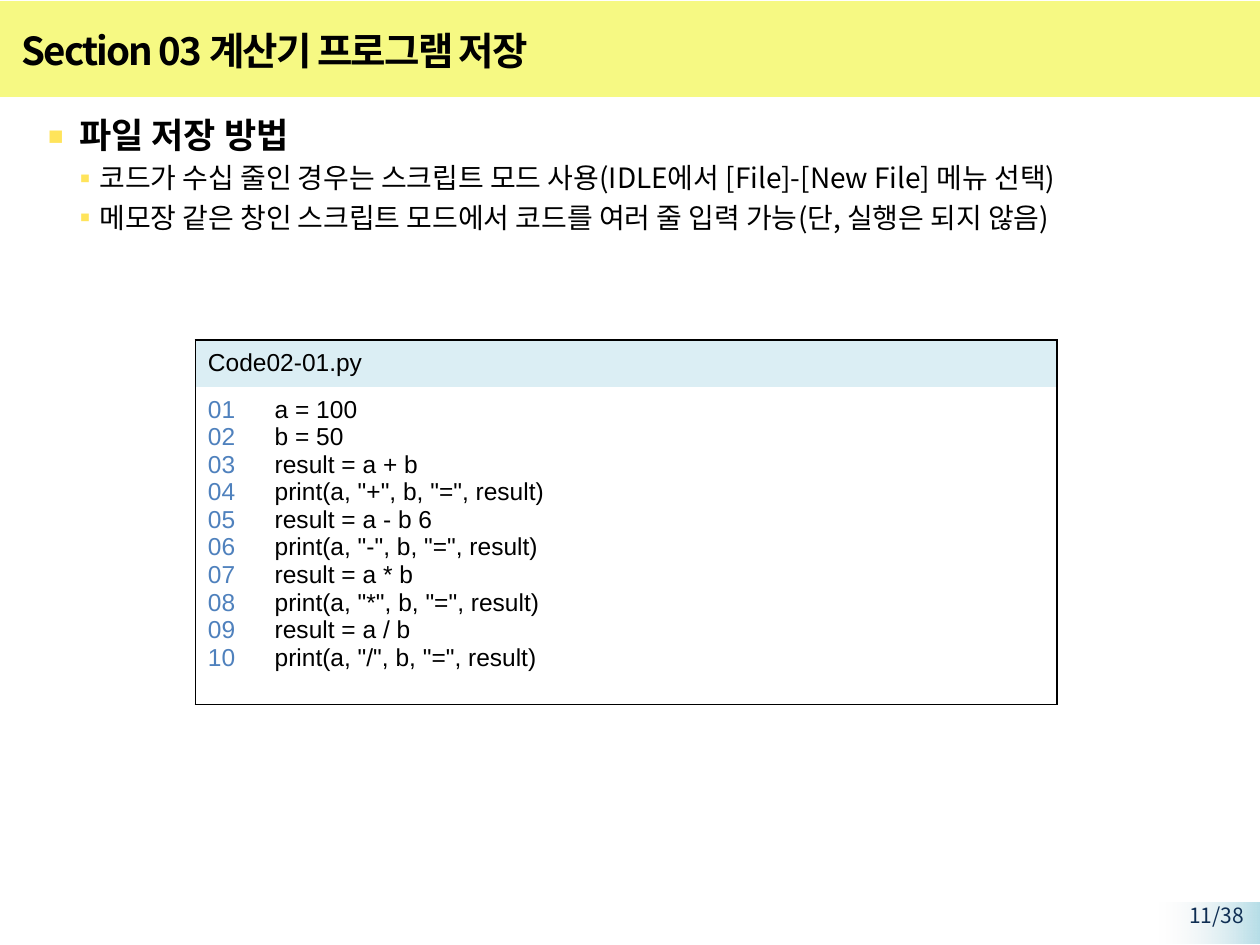
from lxml import etree
from pptx import Presentation
from pptx import util as u
from pptx.dml.color import RGBColor
from pptx.enum import shapes, text
from pptx.oxml.ns import qn

Inches, Pt = u.Inches, u.Pt

YELLOW = RGBColor(0xF6, 0xF9, 0x83)
BULLET = RGBColor(0xFF, 0xE4, 0x5B)
PALE_BLUE = RGBColor(0xDB, 0xEE, 0xF4)
TAB_BLUE = RGBColor(0xB7, 0xDE, 0xE8)
TAB_GREY = RGBColor(0xF2, 0xF2, 0xF2)
NAVY = RGBColor(0x0F, 0x2E, 0x53)
LINE_NUMBER = RGBColor(0x4F, 0x81, 0xBD)
BLACK = RGBColor(0, 0, 0)
WHITE = RGBColor(0xFF, 0xFF, 0xFF)
KOREAN_FONT = "Noto Sans CJK KR"
CODE_FONT = "Arial"

TOPIC = "파일 저장 방법"
DETAILS = [
    "코드가 수십 줄인 경우는 스크립트 모드 사용(IDLE에서 [File]-[New File] 메뉴 선택)",
    "메모장 같은 창인 스크립트 모드에서 코드를 여러 줄 입력 가능(단, 실행은 되지 않음)",
]
CODE = """a = 100
b = 50
result = a + b
print(a, "+", b, "=", result)
result = a - b 6
print(a, "-", b, "=", result)
result = a * b
print(a, "*", b, "=", result)
result = a / b
print(a, "/", b, "=", result)"""


def add_child(parent, tag, **attributes):
    return etree.SubElement(parent, qn(tag), attributes)


def style_runs(paragraph, size, color, font=KOREAN_FONT, bold=False):
    for run in paragraph.runs:
        run.font.size = Pt(size)
        run.font.bold = bold
        run.font.color.rgb = color
        run.font.name = font
        add_child(run.font._element, "a:ea", typeface=font)


def add_panel(slide, left, top, width, height):
    panel = slide.shapes.add_shape(
        shapes.MSO_SHAPE.RECTANGLE, *map(Inches, (left, top, width, height)))
    panel.shadow.inherit = False
    panel.line.fill.background()
    return panel


def add_text_frame(slide, left, top, width, height):
    box = slide.shapes.add_textbox(*map(Inches, (left, top, width, height)))
    box.text_frame.word_wrap = True
    return box.text_frame


def add_header(slide, left, top, width, height):
    band = add_panel(slide, left, top, width, height)
    band.fill.solid()
    band.fill.fore_color.rgb = YELLOW

    frame = add_text_frame(slide, left + 0.07, top + 0.13, width - 1.49, 0.52)
    frame.vertical_anchor = text.MSO_ANCHOR.MIDDLE
    title = frame.paragraphs[0]
    title.text = "Section 03 계산기 프로그램 저장"
    style_runs(title, 22, BLACK, bold=True)
    title.runs[0].font._element.set("spc", "-100")


def add_bullet(paragraph, indent, hanging, size_percent):
    properties = paragraph._p.get_or_add_pPr()
    properties.set("marL", str(Inches(indent)))
    properties.set("indent", str(-Inches(hanging)))
    color = add_child(properties, "a:buClr")
    add_child(color, "a:srgbClr", val=str(BULLET))
    add_child(properties, "a:buSzPct", val=str(size_percent * 1000))
    add_child(properties, "a:buFont", typeface=KOREAN_FONT)
    add_child(properties, "a:buChar", char="▪")


def add_outline(slide, left, top, width, height):
    frame = add_text_frame(slide, left, top, width, height)
    topic = frame.paragraphs[0]
    topic.text = TOPIC
    add_bullet(topic, 0.39, 0.29, 130)
    style_runs(topic, 20, BLACK, bold=True)
    for sentence in DETAILS:
        detail = frame.add_paragraph()
        detail.text = sentence
        detail.level = 1
        add_bullet(detail, 0.59, 0.19, 100)
        detail.space_before = Pt(3.2)
        style_runs(detail, 16, BLACK)


def set_borders(cell, sides):
    """Draw the named sides in black and leave the others without a line."""
    properties = cell._tc.get_or_add_tcPr()
    for position, side in enumerate("LRTB"):
        line = etree.Element(qn(f"a:ln{side}"), w=str(Pt(1)))
        if side in sides:
            fill = add_child(line, "a:solidFill")
            add_child(fill, "a:srgbClr", val=str(BLACK))
        else:
            add_child(line, "a:noFill")
        properties.insert(position, line)


def fill_cell(cell, content, color, background):
    cell.text = content
    cell.margin_left = cell.margin_right = Inches(0.1)
    cell.margin_top = cell.margin_bottom = Inches(0.07)
    cell.fill.solid()
    cell.fill.fore_color.rgb = background
    for paragraph in cell.text_frame.paragraphs:
        style_runs(paragraph, 14, color, CODE_FONT)


def add_listing(slide, left, top, width, height):
    number_width, header_height = 0.53, 0.36
    table = slide.shapes.add_table(
        2, 2, *map(Inches, (left, top, width, height))).table
    table.first_row = table.horz_banding = False
    table.columns[0].width = Inches(number_width)
    table.columns[1].width = Inches(width - number_width)
    table.rows[0].height = Inches(header_height)
    table.rows[1].height = Inches(height - header_height)

    # File name across both columns
    file_name, header_end = table.cell(0, 0), table.cell(0, 1)
    file_name.merge(header_end)
    fill_cell(file_name, "Code02-01.py", BLACK, PALE_BLUE)
    set_borders(file_name, "LRT")
    set_borders(header_end, "RT")

    # Line numbers beside the code
    count = len(CODE.splitlines())
    numbers = "\n".join(f"{n:02}" for n in range(1, count + 1))
    fill_cell(table.cell(1, 0), numbers, LINE_NUMBER, WHITE)
    set_borders(table.cell(1, 0), "LB")
    fill_cell(table.cell(1, 1), CODE, BLACK, WHITE)
    set_borders(table.cell(1, 1), "RB")


def add_page_number(slide, left, top, width, height):
    tab = add_panel(slide, left, top, width, height)
    tab.fill.gradient()
    tab.fill.gradient_angle = 180
    near, far = tab.fill.gradient_stops
    near.color.rgb, far.color.rgb = TAB_BLUE, TAB_GREY
    near.position, far.position = 0, 1
    far_color = tab._element.spPr.findall(".//" + qn("a:srgbClr"))[-1]
    add_child(far_color, "a:alpha", val="0")

    frame = add_text_frame(slide, left - 0.15, top, width + 0.12, 0.23)
    frame.margin_top = frame.margin_bottom = 0
    frame.margin_right = Inches(0.1)
    number = frame.paragraphs[0]
    number.text = "11/38"
    number.alignment = text.PP_ALIGN.RIGHT
    style_runs(number, 12, NAVY)


def main():
    deck = Presentation()
    deck.slide_width, deck.slide_height = Inches(10), Inches(7.5)
    slide = deck.slides.add_slide(deck.slide_layouts[6])
    add_header(slide, 0, 0.01, 10, 0.76)
    add_outline(slide, 0.07, 0.85, 9.8, 6.2)
    add_listing(slide, 1.55, 2.7, 6.84, 2.88)
    add_page_number(slide, 9.2, 7.16, 0.8, 0.33)
    deck.save("out.pptx")


if __name__ == "__main__":
    main()
